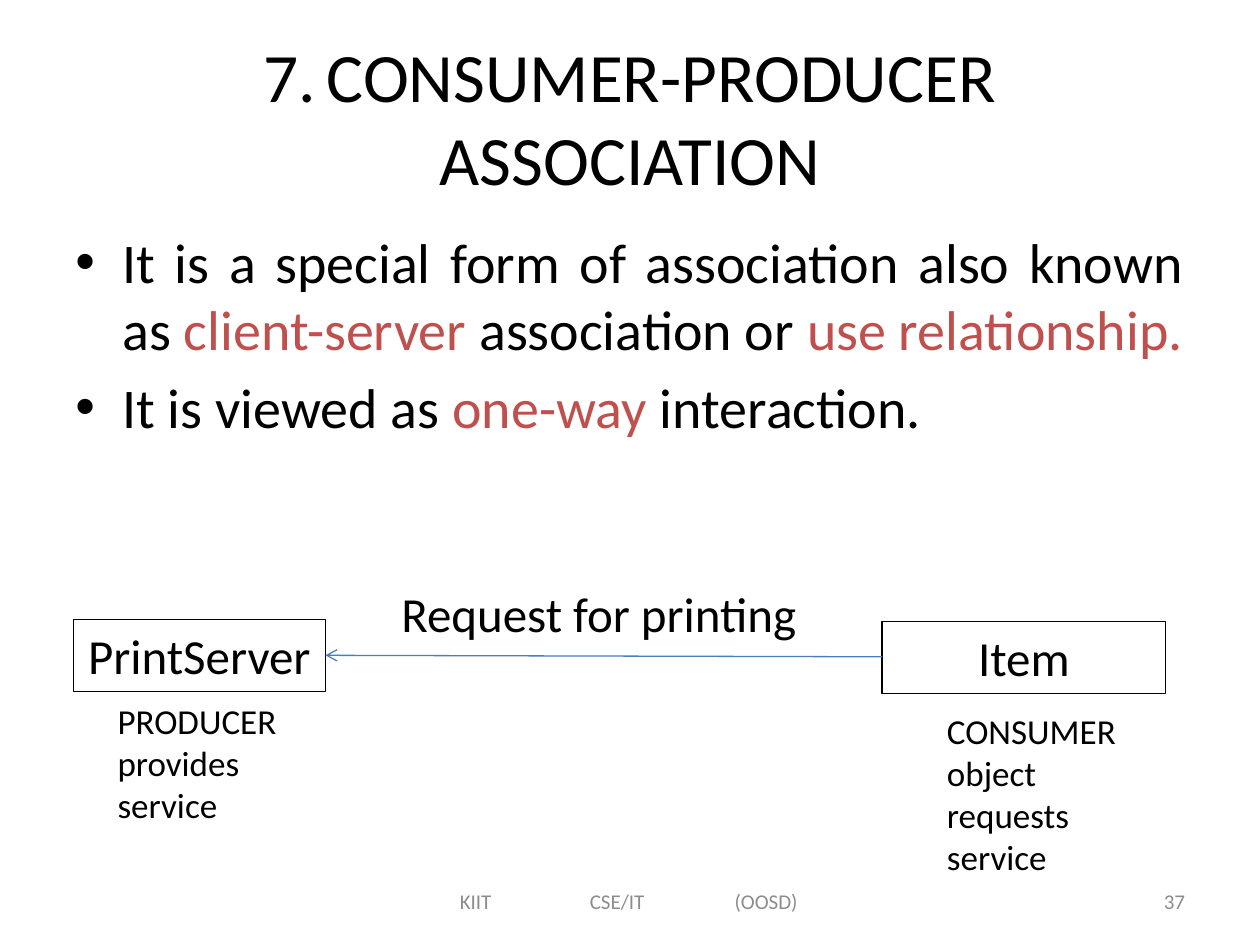
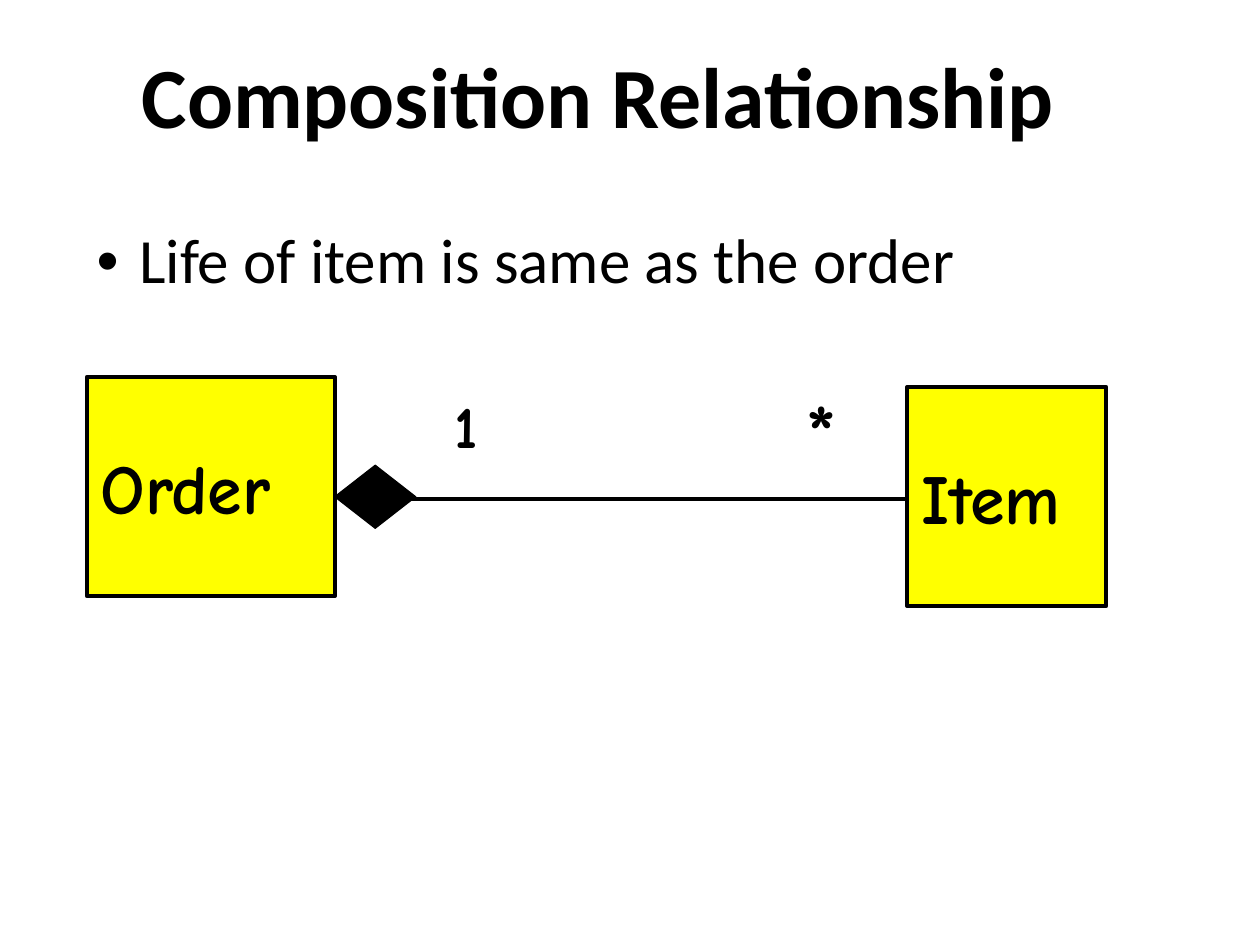
from dataclasses import dataclass
from typing import Optional

from lxml.etree import SubElement
from pptx import Presentation
from pptx.dml.color import RGBColor
from pptx.enum.shapes import MSO_CONNECTOR, MSO_SHAPE
from pptx.enum.text import MSO_ANCHOR, PP_ALIGN
from pptx.oxml.ns import qn
from pptx.util import Cm, Pt


@dataclass(frozen=True)
class Theme:
    ink: str = "000000"
    accent: str = "C0504D"
    muted: str = "8C8C8C"
    arrow: str = "4B7EBC"
    highlight: str = "FFFF00"
    sans: str = "Calibri"
    comic: str = "Comic Neue"
    title: float = 39.6
    big_title: float = 49
    body: float = 32
    big_body: float = 36
    label: float = 28
    note: float = 20
    footer: float = 12
    class_name: float = 40
    one: float = 34
    many: float = 45
    thin: float = 0.75
    thick: float = 2.25


THEME = Theme()


@dataclass(frozen=True)
class Box:
    left: float
    top: float
    width: float
    height: float


@dataclass(frozen=True)
class Run:
    text: str
    color: str = THEME.ink


@dataclass(frozen=True)
class Style:
    size: float
    font: str = THEME.sans
    bold: bool = False
    align: PP_ALIGN = PP_ALIGN.LEFT
    anchor: MSO_ANCHOR = MSO_ANCHOR.TOP
    inset: tuple[float, float] = (0.25, 0.13)
    before: float = 0
    spacing: float = 1.0
    hanging: float = 0  # bullet indent in cm, 0 for no bullet
    tabs: tuple[float, ...] = ()


@dataclass(frozen=True)
class Label:
    box: Box
    text: str
    style: Style


@dataclass(frozen=True)
class ClassBox:
    box: Box
    name: str


@dataclass(frozen=True)
class Link:
    start: tuple[float, float]
    end: tuple[float, float]
    color: str
    weight: float
    arrow: bool = False


# Shared styles
MIDDLE, CENTER = MSO_ANCHOR.MIDDLE, PP_ALIGN.CENTER
TITLE = Style(THEME.title, align=CENTER, anchor=MIDDLE)
BIG_TITLE = Style(THEME.big_title, bold=True, align=CENTER, anchor=MIDDLE,
                  inset=(0.05, 0.13), before=12.3, spacing=0.94)
BODY = Style(THEME.body, align=PP_ALIGN.JUSTIFY, before=6.4, hanging=0.95)
BIG_BODY = Style(THEME.big_body, inset=(0.05, 0.13), before=6.5,
                 spacing=0.94, hanging=0.86)
FOOTER = Style(THEME.footer, anchor=MIDDLE, tabs=(2.62, 5.54))
PAGE = Style(THEME.footer, align=PP_ALIGN.RIGHT, anchor=MIDDLE)
LABEL = Style(THEME.label)
NAME = Style(THEME.label, align=CENTER)
NOTE = Style(THEME.note)
CLASS = Style(THEME.class_name, THEME.comic, True, anchor=MIDDLE, inset=(0.28, 0.15))
ONE = Style(THEME.one, THEME.comic, True, inset=(0, 0))
MANY = Style(THEME.many, THEME.comic, True, inset=(0, 0))


def rgb(color: str) -> RGBColor:
    return RGBColor.from_string(color)


def place(box: Box) -> tuple[Cm, Cm, Cm, Cm]:
    return Cm(box.left), Cm(box.top), Cm(box.width), Cm(box.height)


def write(sp, paragraphs: list[list[Run]], style: Style) -> None:
    tf = sp.text_frame
    tf.word_wrap = True
    tf.vertical_anchor = style.anchor
    tf.margin_left = tf.margin_right = Cm(style.inset[0])
    tf.margin_top = tf.margin_bottom = Cm(style.inset[1])
    for i, runs in enumerate(paragraphs):
        p = tf.add_paragraph() if i else tf.paragraphs[0]
        p.alignment = style.align
        p.line_spacing = style.spacing
        p.space_before = Pt(style.before)
        ppr = p._p.get_or_add_pPr()
        if style.hanging:
            ppr.set("marL", str(Cm(style.hanging)))
            ppr.set("indent", str(-Cm(style.hanging)))
            SubElement(ppr, qn("a:buFont"), typeface="Arial")
            SubElement(ppr, qn("a:buChar"), char="•")
        if style.tabs:
            stops = SubElement(ppr, qn("a:tabLst"))
            for stop in style.tabs:
                SubElement(stops, qn("a:tab"), pos=str(Cm(stop)), algn="l")
        for run in runs:
            r = p.add_run()
            r.text = run.text
            r.font.name = style.font
            r.font.size = Pt(style.size)
            r.font.bold = style.bold
            r.font.color.rgb = rgb(run.color)


def add_text(s, box: Box, paragraphs: list[list[Run]], style: Style) -> None:
    write(s.shapes.add_textbox(*place(box)), paragraphs, style)


def add_label(s, label: Label) -> None:
    add_text(s, label.box, [[Run(label.text)]], label.style)


def add_figure(s, kind: MSO_SHAPE, box: Box, fill: Optional[str], weight: float):
    sp = s.shapes.add_shape(kind, *place(box))
    sp.shadow.inherit = False
    if fill:
        sp.fill.solid()
        sp.fill.fore_color.rgb = rgb(fill)
    else:
        sp.fill.background()
    sp.line.color.rgb = rgb(THEME.ink)
    sp.line.width = Pt(weight)
    return sp


def add_class(s, item: ClassBox, style: Style, fill: Optional[str], weight: float) -> None:
    sp = add_figure(s, MSO_SHAPE.RECTANGLE, item.box, fill, weight)
    write(sp, [[Run(item.name)]], style)


def add_link(s, link: Link) -> None:
    ends = [Cm(v) for v in (*link.start, *link.end)]
    line = s.shapes.add_connector(MSO_CONNECTOR.STRAIGHT, *ends)
    line.line.color.rgb = rgb(link.color)
    line.line.width = Pt(link.weight)
    if link.arrow:
        SubElement(line.line._get_or_add_ln(), qn("a:tailEnd"), type="arrow")
    SubElement(line._element.spPr, qn("a:effectLst"))


def add_footer(s, text: str, page: str) -> None:
    add_text(s, Box(9.02, 17.65, 8, 1.02), [[Run(text, THEME.muted)]], FOOTER)
    add_text(s, Box(18.21, 17.65, 5.93, 1.02), [[Run(page, THEME.muted)]], PAGE)


def consumer_producer_slide(prs) -> None:
    s = prs.slides.add_slide(prs.slide_layouts[6])
    add_label(s, Label(Box(1.27, 0.76, 22.86, 3.18),
                       "7.\tCONSUMER-PRODUCER ASSOCIATION", TITLE))
    add_footer(s, "KIIT\tCSE/IT\t(OOSD)", "37")
    add_text(s, Box(1.27, 4.45, 22.86, 12.57), [
        [Run("It is a special form of association also known as "),
         Run("client-server", THEME.accent), Run(" association or "),
         Run("use relationship.", THEME.accent)],
        [Run("It is viewed as "), Run("one-way ", THEME.accent), Run("interaction.")],
    ], BODY)

    # Producer and consumer, with the request between them
    for item in (ClassBox(Box(1.48, 12.49, 5.08, 1.45), "PrintServer"),
                 ClassBox(Box(17.78, 12.53, 5.72, 1.45), "Item")):
        add_class(s, item, NAME, None, THEME.thin)
    for label in (
        Label(Box(7.62, 11.64, 9.95, 1.45), " Request for printing", LABEL),
        Label(Box(18.84, 14.18, 4.02, 3.69), "CONSUMER object requests service", NOTE),
        Label(Box(2.12, 13.97, 4.02, 2.82), "PRODUCER provides service", NOTE),
    ):
        add_label(s, label)
    add_link(s, Link((17.78, 13.24), (6.56, 13.21), THEME.arrow, THEME.thin, arrow=True))


def composition_slide(prs) -> None:
    s = prs.slides.add_slide(prs.slide_layouts[6])
    add_label(s, Label(Box(1.06, 0.42, 21.59, 3.18), " Composition Relationship", BIG_TITLE))

    # Whole and part, with multiplicities
    for item in (ClassBox(Box(1.75, 7.6, 5, 4.42), "Order"),
                 ClassBox(Box(18.29, 7.8, 4.01, 4.42), "Item")):
        add_class(s, item, CLASS, THEME.highlight, THEME.thick)
    for label in (Label(Box(9.16, 7.84, 0.74, 1.45), "1", ONE),
                  Label(Box(16.26, 7.7, 0.84, 1.93), "*", MANY)):
        add_label(s, label)

    # Composition diamond and line
    add_figure(s, MSO_SHAPE.FLOWCHART_DECISION, Box(6.75, 9.38, 1.63, 1.27),
               THEME.ink, THEME.thin)
    add_link(s, Link((8.26, 10.06), (18.24, 10.06), THEME.ink, THEME.thick))
    add_label(s, Label(Box(1.9, 4.45, 21.59, 2.11),
                       "Life of item is same as the order", BIG_BODY))


def main() -> None:
    prs = Presentation()
    prs.slide_width, prs.slide_height = Cm(25.4), Cm(19.05)
    consumer_producer_slide(prs)
    composition_slide(prs)
    prs.save("out.pptx")


if __name__ == "__main__":
    main()
